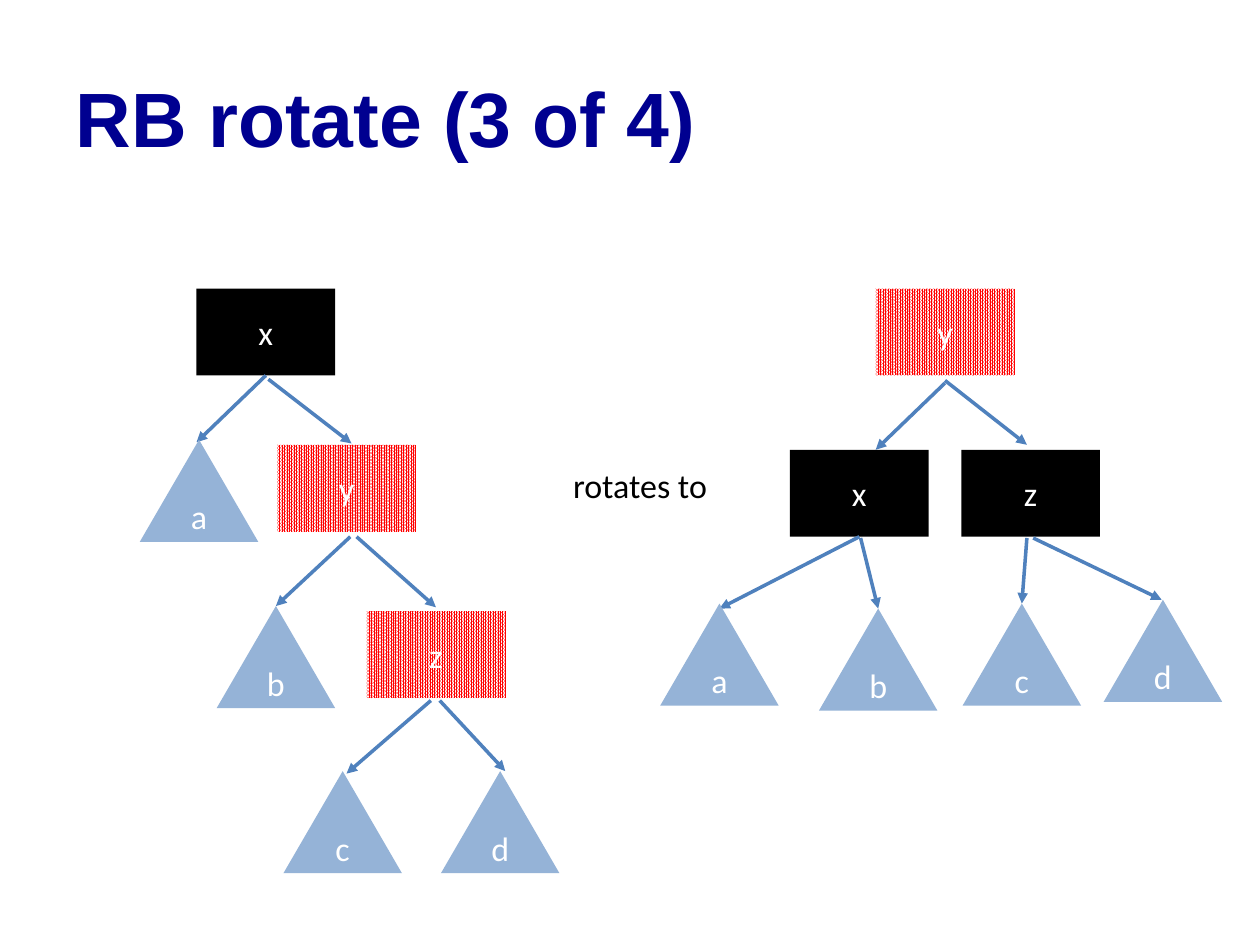
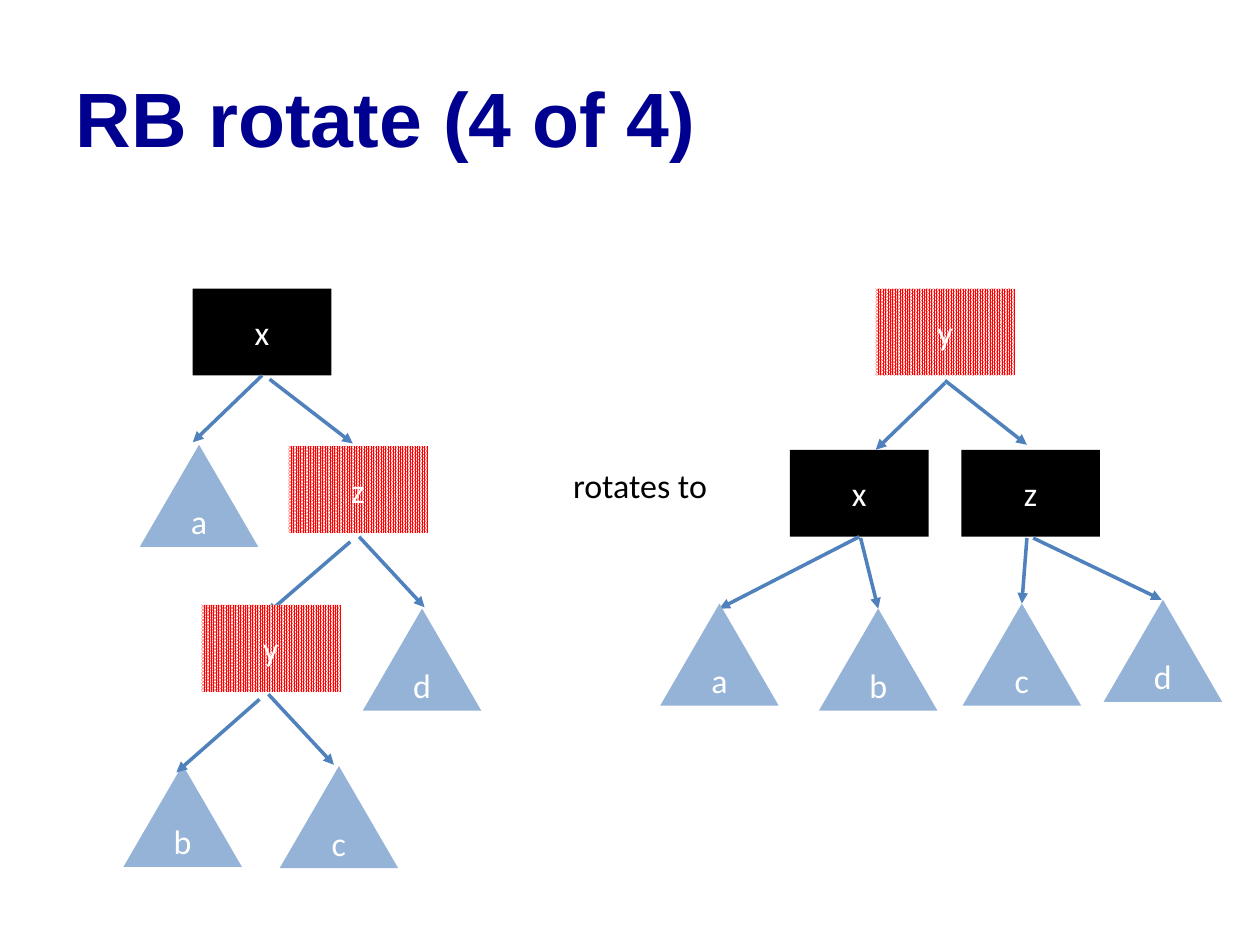
from lxml.etree import SubElement
from pptx import Presentation
from pptx.dml.color import RGBColor
from pptx.enum.dml import MSO_PATTERN
from pptx.enum.shapes import MSO_CONNECTOR, MSO_SHAPE
from pptx.enum.text import MSO_ANCHOR as Anchor, MSO_AUTO_SIZE as AutoSize, PP_ALIGN as Align
from pptx.oxml.ns import qn
from pptx.util import Inches, Pt

NAVY = RGBColor(0x00, 0x00, 0x90)
BLACK = RGBColor(0x00, 0x00, 0x00)
WHITE = RGBColor(0xFF, 0xFF, 0xFF)
RED = RGBColor(0xFF, 0x00, 0x00)
ARROW_BLUE = RGBColor(0x4F, 0x81, 0xBD)
LEAF_BLUE = RGBColor(0x95, 0xB3, 0xD7)

TITLE_FONT = {"name": "Arial", "size": Pt(44), "bold": True}
LABEL_FONT = {"name": "Calibri", "size": Pt(19.4)}
TITLE_BOX = {"left": Inches(0.5), "top": Inches(0.3), "width": Inches(9), "height": Inches(1.25)}
TITLE_FRAME = {"vertical_anchor": Anchor.MIDDLE, "auto_size": AutoSize.NONE, "word_wrap": True}
CAPTION_FRAME = {"word_wrap": False, "auto_size": AutoSize.SHAPE_TO_FIT_TEXT}
NODE_SIZE = (1.1, 0.69)
LEAF_SIZE = (0.94, 0.81)

ROTATED = {
    "nodes": [("y", RED, 6.95, 2.29), ("x", BLACK, 6.27, 3.57), ("z", BLACK, 7.63, 3.57)],
    "edges": [((7.5, 3.04), (6.95, 3.57)), ((7.5, 3.02), (8.15, 3.53)),
              ("x", (5.71, 4.83)), ((6.83, 4.27), (6.97, 4.83)),
              ((8.15, 4.27), (8.11, 4.79)), ((8.2, 4.27), (9.22, 4.76))],
    "leaves": [("a", 5.24, 4.79), ("b", 6.5, 4.83), ("c", 7.64, 4.79), ("d", 8.76, 4.76)],
}
RIGHT_RIGHT = {
    "nodes": [("x", BLACK, 1.56, 2.29), ("y", RED, 2.2, 3.53), ("z", RED, 2.91, 4.85)],
    "edges": [("x", (1.56, 3.51)), ((2.13, 3.01), (2.79, 3.52)),
              ((2.78, 4.26), (2.19, 4.81)), ((2.83, 4.26), (3.46, 4.82)),
              ((3.42, 5.56), (2.75, 6.14)), ((3.49, 5.56), (4.01, 6.12))],
    "leaves": [("a", 1.11, 3.49), ("b", 1.72, 4.81), ("c", 2.25, 6.12), ("d", 3.5, 6.12)],
}
RIGHT_LEFT_TOP = {
    "nodes": [("x", BLACK, 1.53, 2.29), ("z", RED, 2.29, 3.54)],
    "edges": [("x", (1.53, 3.51)), ((2.14, 3.01), (2.8, 3.52)),
              ((2.78, 4.3), (2.12, 4.87)), ((2.85, 4.26), (3.37, 4.82))],
    "leaves": [("a", 1.11, 3.53), ("b", 0.98, 6.07), ("d", 2.88, 4.83), ("c", 2.22, 6.08)],
}
RIGHT_LEFT_BOTTOM = {
    "nodes": [("y", RED, 1.6, 4.8)],
    "edges": [((2.06, 5.55), (1.4, 6.13)), ((2.13, 5.51), (2.65, 6.07))],
    "leaves": [],
}
SLIDES = [
    ("RB rotate (3 of 4)", [RIGHT_RIGHT, ROTATED]),
    ("RB rotate (4 of 4)", [ROTATED, RIGHT_LEFT_TOP, RIGHT_LEFT_BOTTOM]),
]


def apply(target, values):
    """Set each attribute of the target from the dict."""
    for name, value in values.items():
        setattr(target, name, value)


class TreeDeck:
    """Hold the deck style and the current slide, and draw its elements."""

    def __init__(self):
        """Start an empty deck."""
        self.deck = Presentation()
        apply(self.deck, {"slide_width": Inches(10), "slide_height": Inches(7.5)})
        self.slide = None

    def label(self, frame, words, font, color, align):
        """Fill a text frame with one formatted paragraph."""
        paragraph = frame.paragraphs[0]
        paragraph.alignment = align
        run = paragraph.add_run()
        run.text = words
        apply(run.font, font)
        run.font.color.rgb = color

    def start_slide(self, heading):
        """Add a slide with its title."""
        self.slide = self.deck.slides.add_slide(self.deck.slide_layouts[5])
        title = self.slide.shapes.title
        apply(title, TITLE_BOX)
        apply(title.text_frame, TITLE_FRAME)
        self.label(title.text_frame, heading, TITLE_FONT, NAVY, Align.LEFT)

    def block(self, preset, letter, color, left, top, size):
        """Draw a lettered shape, with red ones in a dense pattern."""
        block = self.slide.shapes.add_shape(preset, *map(Inches, (left, top, *size)))
        block.shadow.inherit = False
        block.line.fill.background()
        if color == RED:
            block.fill.patterned()
            block.fill.pattern = MSO_PATTERN.PERCENT_90
            block.fill.fore_color.rgb = RED
            block.fill.back_color.rgb = WHITE
        else:
            block.fill.solid()
            block.fill.fore_color.rgb = color
        block.text_frame.vertical_anchor = Anchor.MIDDLE
        self.label(block.text_frame, letter, LABEL_FONT, WHITE, Align.CENTER)
        return block

    def edge(self, start, end, nodes):
        """Draw an arrow from a point, or from the bottom of a named node."""
        parent = nodes.get(start)
        origin = (0, 0) if parent else start
        edge = self.slide.shapes.add_connector(
            MSO_CONNECTOR.STRAIGHT, *map(Inches, (*origin, *end)))
        if parent:
            edge.begin_connect(parent, 2)
        edge.line.color.rgb = ARROW_BLUE
        edge.line.width = Pt(2)
        properties = edge.element.spPr
        SubElement(properties.find(qn("a:ln")), qn("a:tailEnd"), type="triangle")
        SubElement(properties, qn("a:effectLst"))

    def tree(self, nodes, edges, leaves):
        """Draw the nodes, then the arrows, then the subtrees."""
        placed = {letter: self.block(MSO_SHAPE.RECTANGLE, letter, color, left, top, NODE_SIZE)
                  for letter, color, left, top in nodes}
        for start, end in edges:
            self.edge(start, end, placed)
        for letter, left, top in leaves:
            self.block(MSO_SHAPE.ISOSCELES_TRIANGLE, letter, LEAF_BLUE, left, top, LEAF_SIZE)

    def caption(self, words):
        """Put the words between the two trees."""
        caption = self.slide.shapes.add_textbox(*map(Inches, (4.45, 3.64, 1.27, 0.43)))
        apply(caption.text_frame, CAPTION_FRAME)
        self.label(caption.text_frame, words, LABEL_FONT, BLACK, Align.LEFT)


def main():
    """Build both rotation slides and save the deck."""
    rotations = TreeDeck()
    for heading, trees in SLIDES:
        rotations.start_slide(heading)
        for tree in trees:
            rotations.tree(**tree)
        rotations.caption("rotates to")
    rotations.deck.save("out.pptx")


if __name__ == "__main__":
    main()
